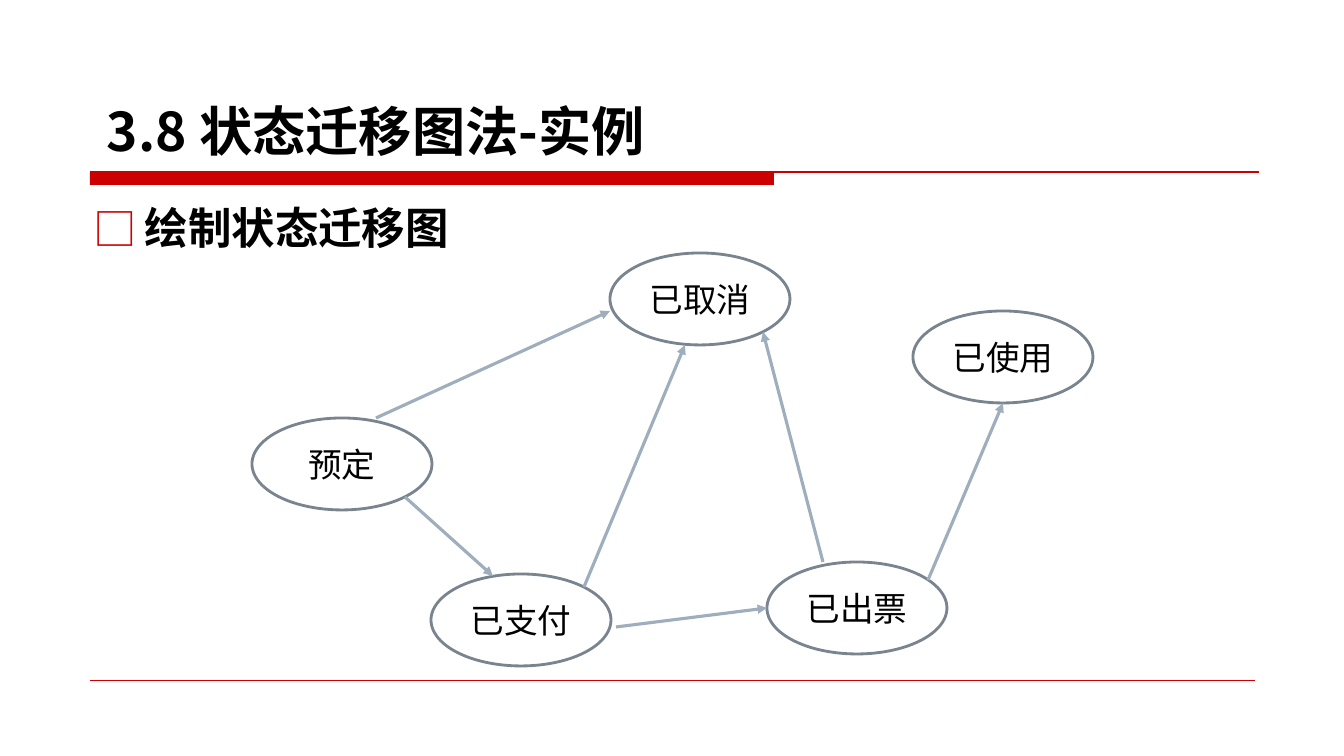
"""Builds a slide with the state transition diagram of a ticket order."""
from dataclasses import dataclass

from lxml.etree import SubElement
from pptx import Presentation
from pptx.dml.color import RGBColor
from pptx.enum.shapes import MSO_CONNECTOR as LINE, MSO_SHAPE as SHAPE
from pptx.enum.text import MSO_ANCHOR as ANCHOR, PP_ALIGN as ALIGN
from pptx.oxml.ns import qn
from pptx.util import Pt

TITLE = "3.8 状态迁移图法-实例"
HEADING = "绘制状态迁移图"
STATES = {
    "已支付": (431, 574),
    "预定": (252, 418),
    "已取消": (610, 253),
    "已出票": (767, 562),
    "已使用": (913, 311),
}
TRANSITIONS = [
    ((405, 497), (493, 576)),
    ((376, 418), (610, 311)),
    ((584, 587), (685, 345)),
    ((823, 562), (763, 332)),
    ((616, 627), (767, 608)),
    ((928, 580), (1003, 403)),
]
STATE_SIZE = (180, 92)
RULES = [((90, 172), (1259, 172), 0.75), ((90, 680), (1255, 680), 0.25)]
BAR = (90, 172, 684, 13)
TITLE_BOX = (97, 33, 882, 134)
HEADING_BOX = (84, 175, 389, 83)
HEADING_INDENT = 51


@dataclass(frozen=True)
class Theme:
    font: str = "Noto Sans CJK SC"
    text: str = "000000"
    accent: str = "CC0000"
    outline: str = "79848F"
    arrow: str = "9FAEBD"
    title: int = 38
    heading: int = 31
    state: int = 24


T = Theme()


def px(n):
    return round(n * 914400 / 100.8)


def rgb(value):
    return RGBColor.from_string(value)


def write(tf, text, size, bold=False, align=ALIGN.LEFT, anchor=ANCHOR.BOTTOM, bullet=None):
    tf.word_wrap = True
    tf.vertical_anchor = anchor
    p = tf.paragraphs[0]
    p.alignment = align
    if bullet:
        pPr = p._p.get_or_add_pPr()
        pPr.set("marL", str(px(HEADING_INDENT)))
        pPr.set("indent", str(-px(HEADING_INDENT)))
        color = SubElement(pPr, qn("a:buClr"))
        SubElement(color, qn("a:srgbClr"), val=T.accent)
        SubElement(pPr, qn("a:buFont"), typeface=T.font)
        SubElement(pPr, qn("a:buChar"), char=bullet)
    r = p.add_run()
    r.text = text
    r.font.size, r.font.bold, r.font.name = Pt(size), bold, T.font
    r.font.color.rgb = rgb(T.text)
    SubElement(r._r.get_or_add_rPr(), qn("a:ea"), typeface=T.font)


def add_line(s, start, end, color, width, arrow=False):
    line = s.shapes.add_connector(LINE.STRAIGHT, *map(px, start + end))
    line.line.color.rgb = rgb(color)
    line.line.width = Pt(width)
    if arrow:
        SubElement(line.line._get_or_add_ln(), qn("a:tailEnd"), type="triangle")
    SubElement(line._element.spPr, qn("a:effectLst"))


def add_bar(s):
    bar = s.shapes.add_shape(SHAPE.RECTANGLE, *map(px, BAR))
    bar.shadow.inherit = False
    bar.fill.solid()
    bar.fill.fore_color.rgb = rgb(T.accent)
    bar.line.fill.background()


def add_state(s, name, corner):
    sp = s.shapes.add_shape(SHAPE.OVAL, *map(px, corner + STATE_SIZE))
    sp.shadow.inherit = False
    sp.fill.background()
    sp.line.color.rgb = rgb(T.outline)
    sp.line.width = Pt(2)
    write(sp.text_frame, name, T.state, align=ALIGN.CENTER, anchor=ANCHOR.MIDDLE)


def main():
    prs = Presentation()
    prs.slide_width, prs.slide_height = px(1344), px(756)
    s = prs.slides.add_slide(prs.slide_layouts[6])
    add_bar(s)
    for start, end, width in RULES:
        add_line(s, start, end, T.accent, width)
    heading = s.shapes.add_textbox(*map(px, HEADING_BOX))
    write(heading.text_frame, HEADING, T.heading, bold=True, bullet="□")
    for name, corner in STATES.items():
        add_state(s, name, corner)
    for start, end in TRANSITIONS:
        add_line(s, start, end, T.arrow, 2.25, arrow=True)
    title = s.shapes.add_textbox(*map(px, TITLE_BOX))
    write(title.text_frame, TITLE, T.title, bold=True)
    prs.save("out.pptx")


if __name__ == "__main__":
    main()
